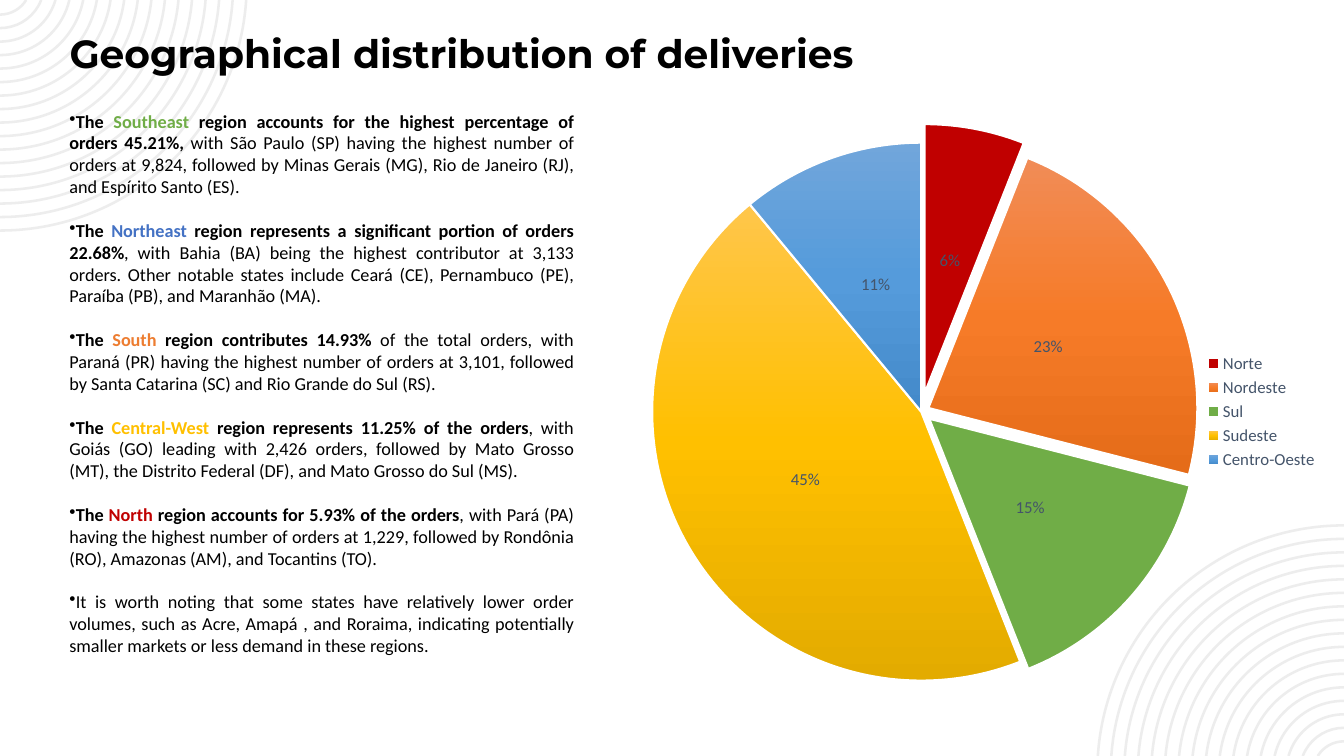
from math import asin, cos, degrees, sin

from lxml import etree
from pptx import Presentation
from pptx.chart.data import CategoryChartData
from pptx.dml.color import RGBColor
from pptx.enum.chart import XL_CHART_TYPE, XL_LABEL_POSITION, XL_LEGEND_POSITION
from pptx.enum.text import MSO_ANCHOR, PP_ALIGN
from pptx.oxml.ns import qn
from pptx.util import Pt

PIE = XL_CHART_TYPE.PIE
CENTER_LABEL = XL_LABEL_POSITION.CENTER
LEGEND_RIGHT = XL_LEGEND_POSITION.RIGHT
LEFT, JUSTIFY = PP_ALIGN.LEFT, PP_ALIGN.JUSTIFY
TOP, MIDDLE = MSO_ANCHOR.TOP, MSO_ANCHOR.MIDDLE

BLACK = RGBColor(0x00, 0x00, 0x00)
WHITE = RGBColor(0xFF, 0xFF, 0xFF)
RING_GREY = RGBColor(0xED, 0xED, 0xED)
SLATE = RGBColor(0x44, 0x54, 0x6A)
GREEN = RGBColor(0x70, 0xAD, 0x47)
BLUE = RGBColor(0x44, 0x72, 0xC4)
ORANGE = RGBColor(0xED, 0x7D, 0x31)
GOLD = RGBColor(0xFF, 0xC0, 0x00)
RED = RGBColor(0xC0, 0x00, 0x00)
ORANGE_FADE = [RGBColor(0xF1, 0x8C, 0x57), RGBColor(0xF6, 0x7B, 0x28), RGBColor(0xE5, 0x6C, 0x19)]
GOLD_FADE = [RGBColor(0xFF, 0xC6, 0x4B), GOLD, RGBColor(0xE3, 0xAB, 0x00)]
BLUE_FADE = [RGBColor(0x71, 0xA6, 0xDB), RGBColor(0x55, 0x9B, 0xDB), RGBColor(0x44, 0x8A, 0xCA)]

BODY_FONT, TITLE_FONT = "Calibri", "Montserrat"
SLIDE_WIDTH, SLIDE_HEIGHT = 960, 540

# Region, share in percent, fill colours, explosion in percent
SLICES = [
    ("Norte", 6, [RED], 7),
    ("Nordeste", 23, ORANGE_FADE, 3),
    ("Sul", 15, [GREEN], 4),
    ("Sudeste", 45, GOLD_FADE, 0),
    ("Centro-Oeste", 11, BLUE_FADE, 0),
]

# Region, its colour, bold statement, plain detail
REGIONS = [
    ("Southeast", GREEN, " region accounts for the highest percentage of orders 45.21%, ",
     "with São Paulo (SP) having the highest number of orders at 9,824, followed by "
     "Minas Gerais (MG), Rio de Janeiro (RJ), and Espírito Santo (ES)."),
    ("Northeast", BLUE, " region represents a significant portion of orders 22.68%",
     ", with Bahia (BA) being the highest contributor at 3,133 orders. Other notable states "
     "include Ceará (CE), Pernambuco (PE), Paraíba (PB), and Maranhão (MA)."),
    ("South", ORANGE, " region contributes 14.93%",
     " of the total orders, with Paraná (PR) having the highest number of orders at 3,101, "
     "followed by Santa Catarina (SC) and Rio Grande do Sul (RS)."),
    ("Central-West", GOLD, " region represents 11.25% of the orders",
     ", with Goiás (GO) leading with 2,426 orders, followed by Mato Grosso (MT), "
     "the Distrito Federal (DF), and Mato Grosso do Sul (MS)."),
    ("North", RED, " region accounts for 5.93% of the orders",
     ", with Pará (PA) having the highest number of orders at 1,229, followed by "
     "Rondônia (RO), Amazonas (AM), and Tocantins (TO)."),
]
CLOSING = ("It is worth noting that some states have relatively lower order volumes, such as Acre, "
           "Amapá , and Roraima, indicating potentially smaller markets or less demand in these regions.")


def style_font(font, size, color, name=BODY_FONT, bold=False):
    font.name, font.size, font.bold = name, Pt(size), bold
    font.color.rgb = color


def add_span(para, text, size, color=BLACK, name=BODY_FONT, bold=False):
    span = para.add_run()
    span.text = text
    style_font(span.font, size, color, name, bold)


def add_rings(page, corner_x, corner_y, direction):
    """Concentric arcs, centred just beyond a corner of the page."""
    overshoot, largest, step, count = 11.5, 176.2, 9.64, 17
    radii = [largest - index * step for index in range(count)]
    starts = [asin(overshoot / radius) for radius in radii]
    builder = None
    for radius, start in zip(radii, starts):
        side = (Pt(corner_x + direction * radius * cos(start)),
                Pt(corner_y + direction * (radius * sin(start) - overshoot)))
        tip = (Pt(corner_x), Pt(corner_y + direction * (radius - overshoot)))
        if builder is None:
            builder = page.shapes.build_freeform(*side)
        else:
            builder.move_to(*side)
        builder.add_line_segments([tip], close=False)
    rings = builder.convert_to_shape()
    rings.shadow.inherit = False
    rings.fill.background()
    rings.line.color.rgb = RING_GREY
    rings.line.width = Pt(1.8)
    # Bend each straight segment into a circular arc
    turn = 0 if direction > 0 else 180
    segments = list(rings._element.iter(qn("a:lnTo")))
    for segment, radius, start in zip(segments, radii, starts):
        size, angle = str(Pt(radius)), degrees(start)
        arc = etree.Element(qn("a:arcTo"), wR=size, hR=size,
                            stAng=str(round((angle + turn) * 60000)),
                            swAng=str(round((90 - angle) * 60000)))
        segment.getparent().replace(segment, arc)


def fill_slice(point, colors, explosion):
    fill = point.format.fill
    if len(colors) == 1:
        fill.solid()
        fill.fore_color.rgb = colors[0]
    else:
        fill.gradient()
        fill.gradient_angle = 270
    point.format.line.color.rgb = WHITE
    point.format.line.width = Pt(1.5)
    shape_format = point.format._element.find(qn("c:spPr"))
    stops = shape_format.find(".//" + qn("a:gsLst"))
    if stops is not None:
        for stop in list(stops):
            stops.remove(stop)
        for index, color in enumerate(colors):
            stop = etree.SubElement(stops, qn("a:gs"), pos=str(index * 50000))
            etree.SubElement(stop, qn("a:srgbClr"), val=str(color))
    if explosion:
        offset = etree.Element(qn("c:explosion"), val=str(explosion))
        shape_format.addprevious(offset)


def set_plot_area(chart, x, y, w, h):
    """Place the pie by fractions of the chart frame."""
    plot_area = chart._chartSpace.find(".//" + qn("c:plotArea"))
    for old in plot_area.findall(qn("c:layout")):
        plot_area.remove(old)
    layout = etree.Element(qn("c:layout"))
    plot_area.insert(0, layout)
    manual = etree.SubElement(layout, qn("c:manualLayout"))
    settings = [("layoutTarget", "inner"), ("xMode", "edge"), ("yMode", "edge"),
                ("x", x), ("y", y), ("w", w), ("h", h)]
    for tag, value in settings:
        etree.SubElement(manual, qn("c:" + tag), val=str(value))


def add_share_pie(page):
    data = CategoryChartData()
    data.categories = [row[0] for row in SLICES]
    data.add_series("Series 1", [row[1] for row in SLICES])
    chart = page.shapes.add_chart(PIE, Pt(455.8), Pt(80.6), Pt(493.2), Pt(427), data).chart
    chart.has_title = False
    style_font(chart.font, 10, BLACK)
    chart.has_legend = True
    chart.legend.position = LEGEND_RIGHT
    chart.legend.include_in_layout = False
    style_font(chart.legend.font, 12, SLATE)
    plot = chart.plots[0]
    plot.vary_by_categories = True
    plot.has_data_labels = True
    labels = plot.data_labels
    labels.show_percentage, labels.show_value = True, False
    labels.number_format, labels.number_format_is_linked = "0%", False
    labels.position = CENTER_LABEL
    style_font(labels.font, 12, SLATE)
    for index, (_, _, colors, explosion) in enumerate(SLICES):
        fill_slice(plot.series[0].points[index], colors, explosion)
    set_plot_area(chart, 0.02, 0.05, 0.78, 0.9)


def add_bullet(frame, spans):
    first = not frame.paragraphs[0].runs
    para = frame.paragraphs[0] if first else frame.add_paragraph()
    para.alignment = JUSTIFY
    if not first:
        para.space_before = Pt(15.6)
    etree.SubElement(para._p.get_or_add_pPr(), qn("a:buChar"), char="•")
    for text, color, bold in spans:
        add_span(para, text, 13, color, bold=bold)


def add_region_notes(page):
    box = page.shapes.add_textbox(Pt(42.5), Pt(74.9), Pt(374.4), Pt(432.7))
    frame = box.text_frame
    frame.word_wrap = True
    frame.vertical_anchor = TOP
    for region, color, statement, detail in REGIONS:
        add_bullet(frame, [("The ", BLACK, True), (region, color, True),
                           (statement, BLACK, True), (detail, BLACK, False)])
    add_bullet(frame, [(CLOSING, BLACK, False)])


def set_title(page, text):
    title = page.shapes.title
    title.left, title.top, title.width, title.height = Pt(42.5), Pt(17.3), Pt(704.9), Pt(41)
    title.text_frame.vertical_anchor = MIDDLE
    title.text_frame.word_wrap = True
    para = title.text_frame.paragraphs[0]
    para.alignment = LEFT
    add_span(para, text, 28, name=TITLE_FONT, bold=True)
    # Bring the title in front of the rings
    page.shapes._spTree.append(title._element)


def main():
    deck = Presentation()
    deck.slide_width, deck.slide_height = Pt(SLIDE_WIDTH), Pt(SLIDE_HEIGHT)
    page = deck.slides.add_slide(deck.slide_layouts[5])
    # Corner decoration
    add_rings(page, 0, 0, 1)
    add_rings(page, SLIDE_WIDTH, SLIDE_HEIGHT, -1)
    # Content
    add_share_pie(page)
    add_region_notes(page)
    set_title(page, "Geographical distribution of deliveries")
    deck.save("out.pptx")


if __name__ == "__main__":
    main()
